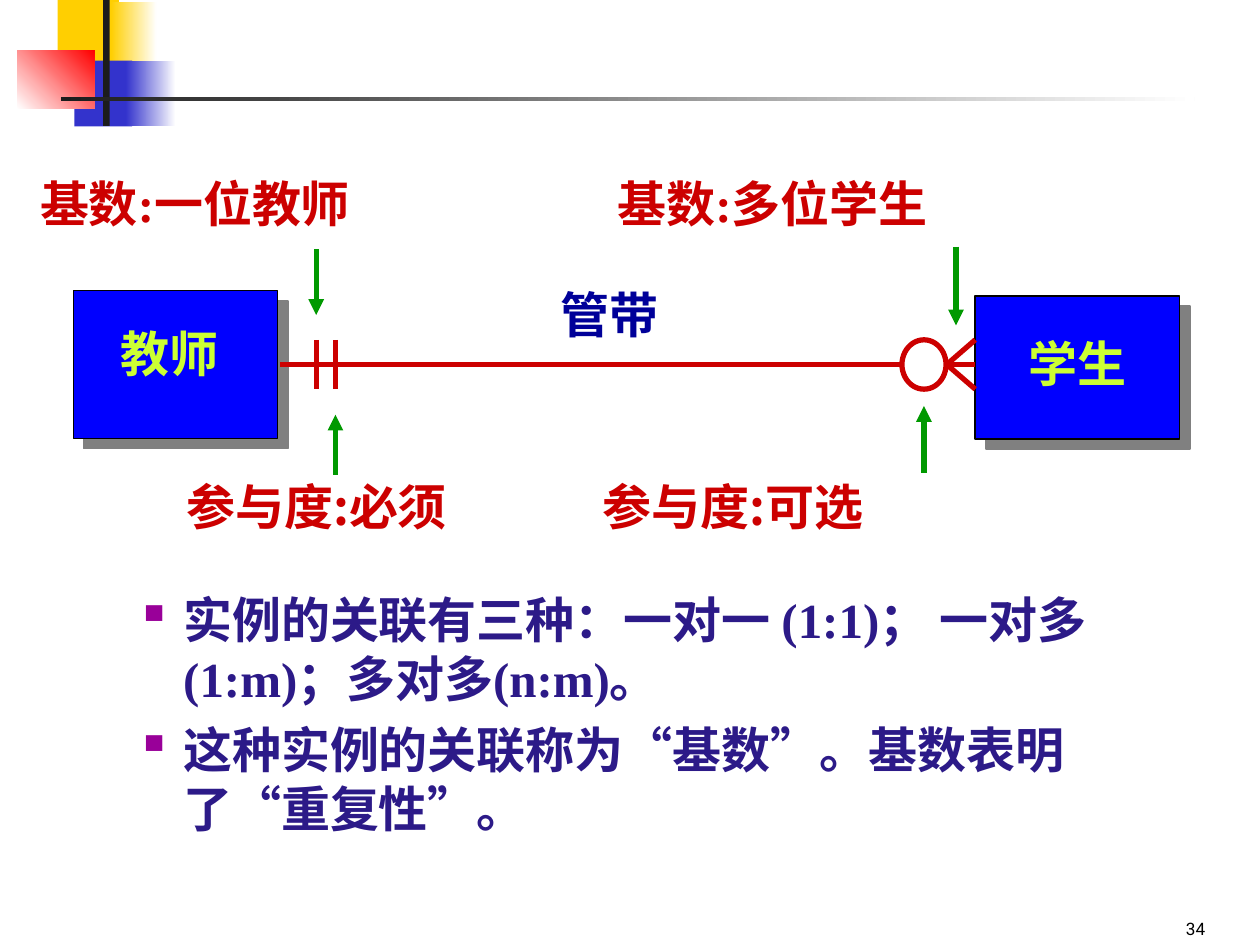
from dataclasses import dataclass

from lxml import etree
from pptx import Presentation
from pptx.dml.color import RGBColor
from pptx.enum.shapes import MSO_CONNECTOR, MSO_SHAPE
from pptx.enum.text import MSO_ANCHOR, PP_ALIGN
from pptx.oxml.ns import qn
from pptx.util import Pt

RECT, OVAL = MSO_SHAPE.RECTANGLE, MSO_SHAPE.OVAL
STRAIGHT = MSO_CONNECTOR.STRAIGHT
LEFT, RIGHT, JUSTIFY = PP_ALIGN.LEFT, PP_ALIGN.RIGHT, PP_ALIGN.JUSTIFY
TOP, BOTTOM = MSO_ANCHOR.TOP, MSO_ANCHOR.BOTTOM


@dataclass(frozen=True)
class Theme:
    white: str = "FFFFFF"
    black: str = "000000"
    ink: str = "1C1C1C"
    yellow: str = "FFCF01"
    indigo: str = "3333CC"
    red: str = "FF0000"
    entity: str = "0000FF"
    entity_name: str = "CCFF33"
    shadow: str = "808080"
    relation: str = "CC0000"
    relation_name: str = "000099"
    pointer: str = "009900"
    body: str = "2C1A88"
    bullet: str = "990099"
    serif: str = "Times New Roman"
    cjk: str = "Noto Sans CJK SC"
    number_font: str = "Roboto"
    text_size: float = 28
    number_size: float = 9.8
    line_width: float = 3


def add_xml(parent, tag, **attributes):
    return etree.SubElement(parent, qn(tag), attributes)


def apply(target, values):
    for name, value in values.items():
        setattr(target, name, value)


class SlideBuilder:
    def __init__(self, slide, theme):
        self.slide, self.theme = slide, theme

    def shape(self, kind, box, fill, line=None, width=0.75, shadow=False):
        """Add a preset shape; a pair of colours as fill makes a gradient."""
        shape = self.slide.shapes.add_shape(kind, *map(Pt, box))
        shape.shadow.inherit = False
        if isinstance(fill, tuple):
            shape.fill.gradient()
            for stop, colour in zip(shape.fill.gradient_stops, fill):
                stop.color.rgb = RGBColor.from_string(colour)
            shape.fill.gradient_angle = 0
        else:
            shape.fill.solid()
            shape.fill.fore_color.rgb = RGBColor.from_string(fill)
        if line:
            shape.line.color.rgb = RGBColor.from_string(line)
            shape.line.width = Pt(width)
        else:
            shape.line.fill.background()
        if shadow:
            effects = shape._element.spPr.find(qn("a:effectLst"))
            outer = add_xml(effects, "a:outerShdw", dist=str(Pt(8.5) + 0),
                            dir="2700000", algn="ctr", rotWithShape="0")
            add_xml(outer, "a:srgbClr", val=self.theme.shadow)
        return shape

    def line(self, start, end, colour, arrow=False):
        line = self.slide.shapes.add_connector(STRAIGHT, *map(Pt, start + end))
        line.line.color.rgb = RGBColor.from_string(colour)
        line.line.width = Pt(self.theme.line_width)
        if arrow:
            add_xml(line.line._get_or_add_ln(), "a:tailEnd", type="triangle")
        add_xml(line._element.spPr, "a:effectLst")

    def text(self, box, paragraphs, colour, font=None, size=None, bold=True,
             align=LEFT, anchor=TOP, spacing=None, bullet=False, tab=None):
        frame = self.slide.shapes.add_textbox(*map(Pt, box)).text_frame
        apply(frame, {"word_wrap": True, "vertical_anchor": anchor})
        for index, words in enumerate(paragraphs):
            paragraph = frame.add_paragraph() if index else frame.paragraphs[0]
            properties = paragraph._p.get_or_add_pPr()
            if bullet:
                self.add_bullet(properties)
            if tab:
                tabs = add_xml(properties, "a:tabLst")
                add_xml(tabs, "a:tab", pos=str(Pt(tab) + 0), algn="l")
            apply(paragraph, {"alignment": align, "line_spacing": spacing})
            if index:
                paragraph.space_before = Pt(7)
            run = paragraph.add_run()
            run.text = words
            apply(run.font, {"name": font or self.theme.serif, "bold": bold,
                             "size": Pt(size or self.theme.text_size)})
            run.font.color.rgb = RGBColor.from_string(colour)
            east_asian = etree.Element(qn("a:ea"), {"typeface": self.theme.cjk})
            run._r.rPr.find(qn("a:latin")).addnext(east_asian)

    def add_bullet(self, properties):
        properties.set("marL", str(Pt(27) + 0))
        properties.set("indent", str(Pt(-27) + 0))
        add_xml(add_xml(properties, "a:buClr"), "a:srgbClr", val=self.theme.bullet)
        add_xml(properties, "a:buChar", char="▪")


def add_decoration(builder):
    theme = builder.theme
    builder.shape(RECT, (33, 0, 35, 37.5), theme.yellow)
    builder.shape(RECT, (63.5, 1.2, 26, 37.5), (theme.yellow, theme.white))
    builder.shape(RECT, (42.5, 34.7, 33, 37.5), theme.indigo)
    builder.shape(RECT, (72, 34.7, 28.5, 37.5), (theme.indigo, theme.white))
    corner = builder.shape(RECT, (10, 28.7, 44, 33.5), (theme.white, theme.red))
    corner.fill.gradient_angle = 45
    builder.shape(RECT, (59, 0, 3.7, 72), theme.ink)
    builder.shape(RECT, (34.7, 55.2, 648, 2.5), (theme.ink, theme.white))


def add_relationship(builder):
    theme = builder.theme
    axis, half = 208.3, 14.1
    upper, lower = axis - half, axis + half
    crow_tip, student_left = 541, 557.3
    bar_one, bar_two, circle_x = 180.7, 191.7, 528

    builder.shape(RECT, (41.8, 166, 116.7, 84.5), theme.entity, theme.black,
                  shadow=True)
    builder.shape(RECT, (student_left, 169, 116.7, 81.8), theme.entity,
                  theme.black, 1, shadow=True)
    builder.text((62, 181.4, 77, 48), ["教师"], theme.entity_name, align=JUSTIFY)
    builder.text((580.5, 190.8, 72, 40), ["学生"], theme.entity_name,
                 align=JUSTIFY, spacing=0.9)
    builder.text((313.3, 159, 72, 47.5), ["管带"], theme.relation_name,
                 align=JUSTIFY)

    for x in (bar_one, bar_two):
        builder.line((x, upper), (x, lower), theme.relation)
    for y in (upper, lower):
        builder.line((crow_tip, axis), (student_left, y), theme.relation)
    builder.line((160, axis), (student_left, axis), theme.relation)
    builder.shape(OVAL, (circle_x - 12.6, upper, 25.2, 2 * half), theme.white,
                  theme.relation, theme.line_width)

    for x, start, end in ((bar_one, 142.5, 180), (546.3, 141, 186),
                          (bar_two, 271.3, 237), (circle_x, 270, 232)):
        builder.line((x, start), (x, end), theme.pointer, arrow=True)

    builder.text((15.8, 95.8, 702, 41), ["基数:一位教师\t基数:多位学生"],
                 theme.relation, tab=330)
    builder.text((99.4, 268.6, 522, 41), ["参与度:必须\t参与度:可选"],
                 theme.relation, font=theme.cjk, tab=238)


def main():
    deck = Presentation()
    apply(deck, {"slide_width": Pt(720), "slide_height": Pt(540)})
    theme = Theme()
    builder = SlideBuilder(deck.slides.add_slide(deck.slide_layouts[6]), theme)
    add_decoration(builder)
    builder.text((70.6, 333.4, 602, 168.5),
                 ["实例的关联有三种：一对一 (1:1)； 一对多(1:m)；多对多(n:m)。",
                  "这种实例的关联称为“基数”。基数表明了“重复性”。"],
                 theme.body, bullet=True)
    add_relationship(builder)
    builder.text((545.8, 504, 150, 36), ["34"], theme.black,
                 font=theme.number_font, size=theme.number_size, bold=False,
                 align=RIGHT, anchor=BOTTOM)
    deck.save("out.pptx")


if __name__ == "__main__":
    main()
